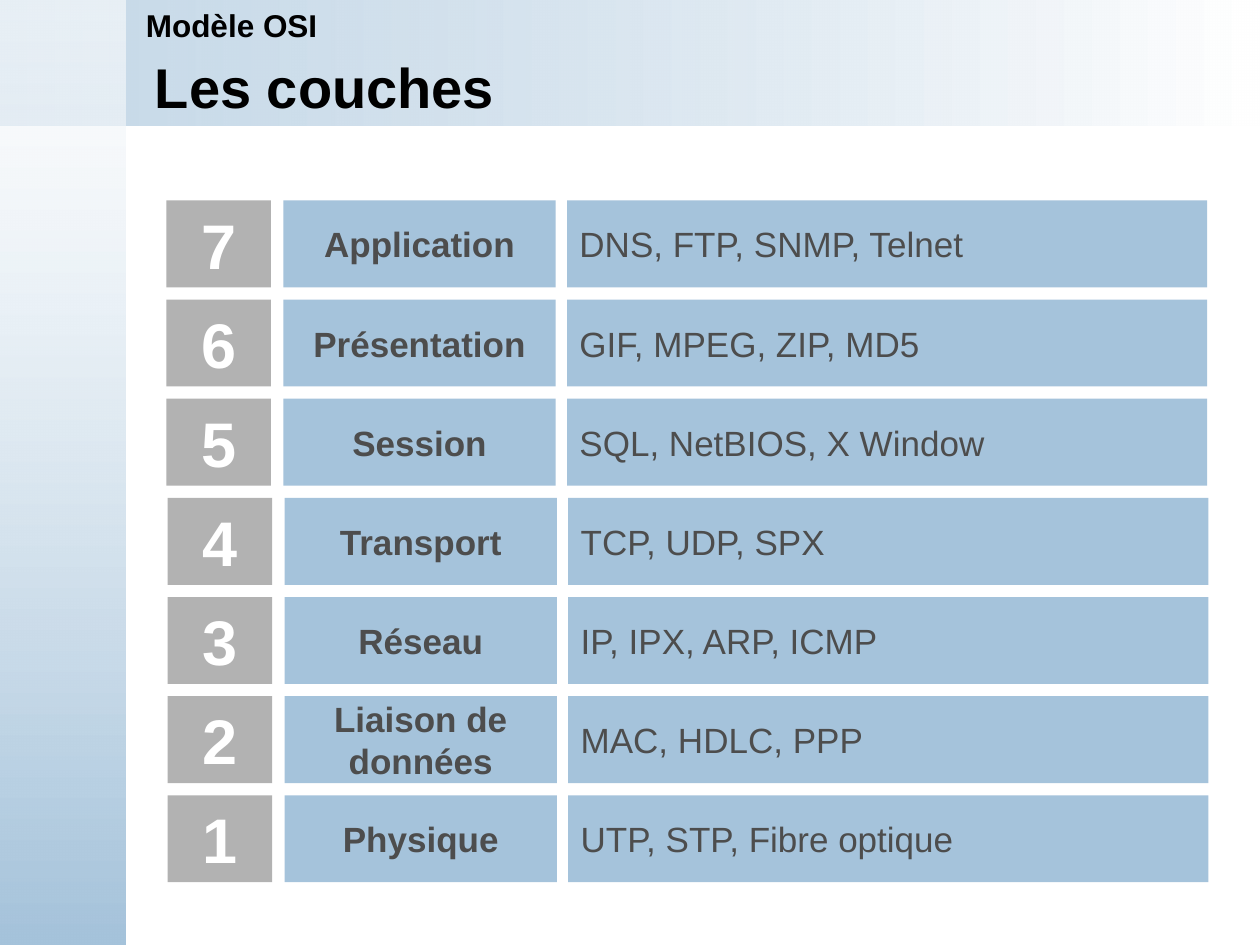
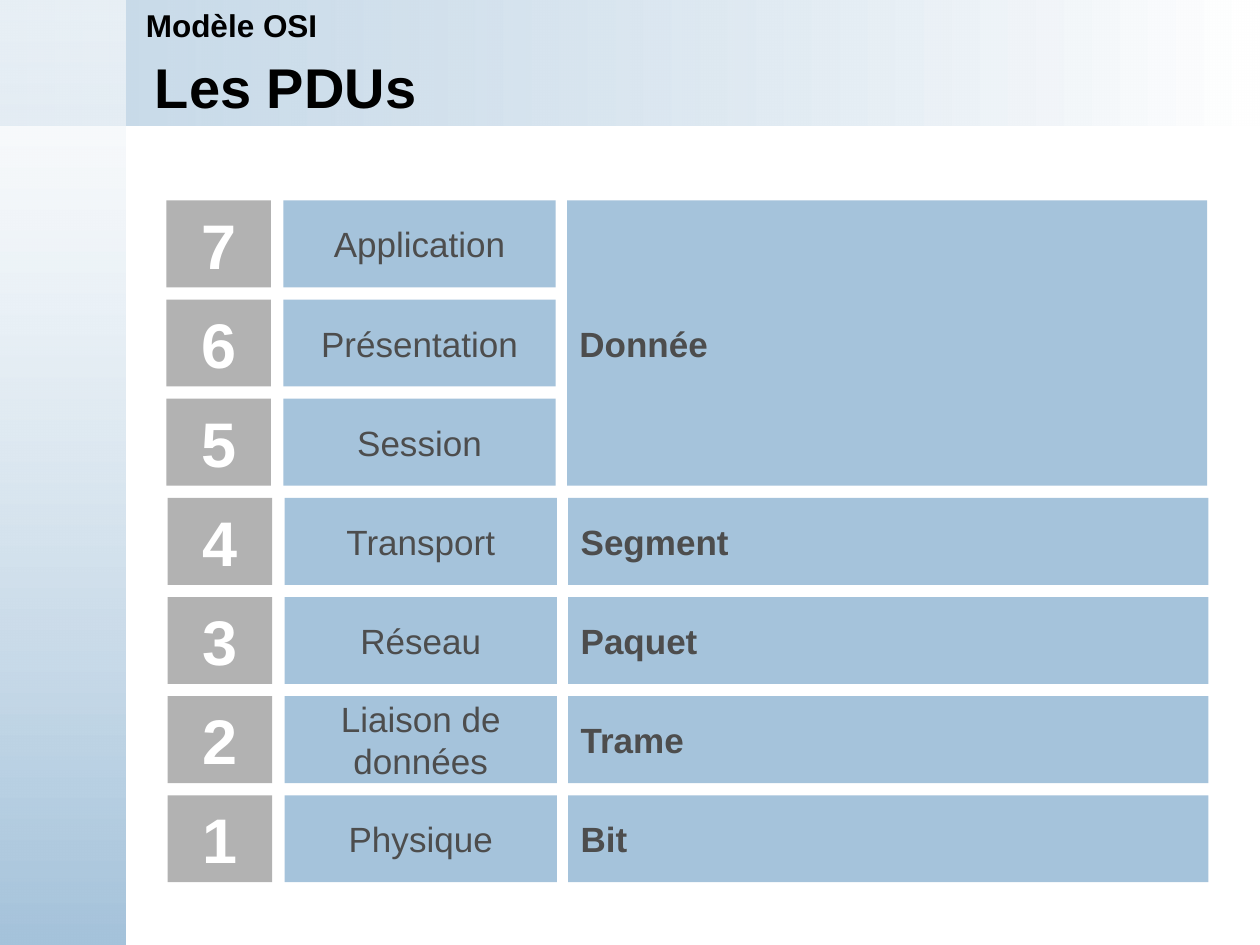
from dataclasses import dataclass

import pptx
import pptx.dml.color
import pptx.enum.shapes
import pptx.enum.text
import pptx.oxml
import pptx.oxml.ns
import pptx.util
from pptx.util import Inches

BLUE, GREY, WHITE, BLACK, INK = "A5C3DB", "B2B2B2", "FFFFFF", "000000", "4D4D4D"
FONT = "Arial"
ALIGN = pptx.enum.text.PP_ALIGN
ANCHOR = pptx.enum.text.MSO_ANCHOR
AUTO_SIZE = pptx.enum.text.MSO_AUTO_SIZE

LAYERS = ["Application", "Présentation", "Session", "Transport",
          "Réseau", "Liaison de données", "Physique"]
FIRST_TOP, ROW_PITCH, ROW_HEIGHT = 1.59, 0.787, 0.69
UPPER_ROWS = 3      # the application-side layers
LOWER_SHIFT = 0.01  # the transport-side layers sit slightly to the right


@dataclass
class Column:
    left: float
    width: float
    fill: str
    color: str
    size: int
    align: ALIGN


NUMBER = Column(1.32, 0.83, GREY, WHITE, 36, ALIGN.CENTER)
NAME = Column(2.25, 2.16, BLUE, INK, 20, ALIGN.CENTER)
DETAIL = Column(4.5, 5.08, BLUE, INK, 20, ALIGN.LEFT)


@dataclass
class Detail:
    text: str
    rows: int = 1


@dataclass
class LayerSlide:
    title: str
    details: list[Detail]
    bold_names: bool


SLIDES = [
    LayerSlide("Les couches", [
        Detail("DNS, FTP, SNMP, Telnet"),
        Detail("GIF, MPEG, ZIP, MD5"),
        Detail("SQL, NetBIOS, X Window"),
        Detail("TCP, UDP, SPX"),
        Detail("IP, IPX, ARP, ICMP"),
        Detail("MAC, HDLC, PPP"),
        Detail("UTP, STP, Fibre optique"),
    ], bold_names=True),
    LayerSlide("Les PDUs", [
        Detail("Donnée", rows=UPPER_ROWS),
        Detail("Segment"),
        Detail("Paquet"),
        Detail("Trame"),
        Detail("Bit"),
    ], bold_names=False),
]


def rgb(color: str) -> pptx.dml.color.RGBColor:
    return pptx.dml.color.RGBColor.from_string(color)


def write(sp, text: str, *, size: int, color: str = BLACK, bold: bool = True,
          align=ALIGN.LEFT, anchor=ANCHOR.MIDDLE, auto_size=AUTO_SIZE.NONE) -> None:
    tf = sp.text_frame
    tf.word_wrap = True
    tf.auto_size = auto_size
    tf.vertical_anchor = anchor
    p = tf.paragraphs[0]
    p.alignment = align
    r = p.add_run()
    r.text = text
    r.font.name = FONT
    r.font.size = pptx.util.Pt(size)
    r.font.bold = bold
    r.font.color.rgb = rgb(color)


def add_rect(s, left: float, top: float, width: float, height: float):
    sp = s.shapes.add_shape(pptx.enum.shapes.MSO_SHAPE.RECTANGLE, Inches(left),
                            Inches(top), Inches(width), Inches(height))
    sp.shadow.inherit = False
    sp.line.fill.background()
    return sp


def add_band(s, width: float, height: float, colors: tuple[str, str],
             angle: int, opacity: int):
    """Draw a corner band whose first gradient stop is partly transparent."""
    sp = add_rect(s, 0, 0, width, height)
    sp.fill.gradient()
    sp.fill.gradient_angle = angle
    for stop, color in zip(sp.fill.gradient_stops, colors):
        stop.color.rgb = rgb(color)
    first_color = sp.element.spPr.xpath(".//a:srgbClr")[0]
    alpha = pptx.oxml.parse_xml(
        f'<a:alpha {pptx.oxml.ns.nsdecls("a")} val="{opacity * 1000}"/>')
    first_color.append(alpha)
    return sp


def prepare_layout(prs, layout) -> None:
    """Place the title and put the gradient bands behind everything."""
    title = next(sp for sp in layout.placeholders if sp.placeholder_format.idx == 0)
    title.left, title.top = Inches(1.13), Inches(0.44)
    title.width, title.height = Inches(8.45), Inches(0.49)
    s = prs.slides[0]
    bands = [add_band(s, 10, 1, (BLUE, WHITE), 0, 62),
             add_band(s, 1, 7.5, (WHITE, BLUE), 270, 59)]
    for position, band in enumerate(bands, start=2):
        layout.shapes.element.insert(position, band.element)


def add_cell(s, column: Column, row: int, text: str, bold: bool, rows: int = 1) -> None:
    left = column.left + (LOWER_SHIFT if row >= UPPER_ROWS else 0)
    sp = add_rect(s, left, FIRST_TOP + row * ROW_PITCH, column.width,
                  ROW_HEIGHT + (rows - 1) * ROW_PITCH)
    sp.fill.solid()
    sp.fill.fore_color.rgb = rgb(column.fill)
    write(sp, text, size=column.size, color=column.color, bold=bold, align=column.align)


def fill_slide(s, content: LayerSlide) -> None:
    write(s.shapes.title, content.title, size=32)
    topic = s.shapes.add_textbox(Inches(1.06), Inches(0), Inches(8.94), Inches(0.4))
    write(topic, "Modèle OSI", size=18, anchor=ANCHOR.TOP,
          auto_size=AUTO_SIZE.SHAPE_TO_FIT_TEXT)
    for row, name in enumerate(LAYERS):
        add_cell(s, NUMBER, row, str(len(LAYERS) - row), True)
        add_cell(s, NAME, row, name, content.bold_names)
    row = 0
    for detail in content.details:
        add_cell(s, DETAIL, row, detail.text, not content.bold_names, detail.rows)
        row += detail.rows


def main() -> None:
    prs = pptx.Presentation()
    prs.slide_width, prs.slide_height = Inches(10), Inches(7.5)
    layout = prs.slide_layouts.get_by_name("Title Only")
    slides = [prs.slides.add_slide(layout) for _ in SLIDES]
    prepare_layout(prs, layout)
    for s, content in zip(slides, SLIDES):
        fill_slide(s, content)
    prs.save("out.pptx")


if __name__ == "__main__":
    main()
